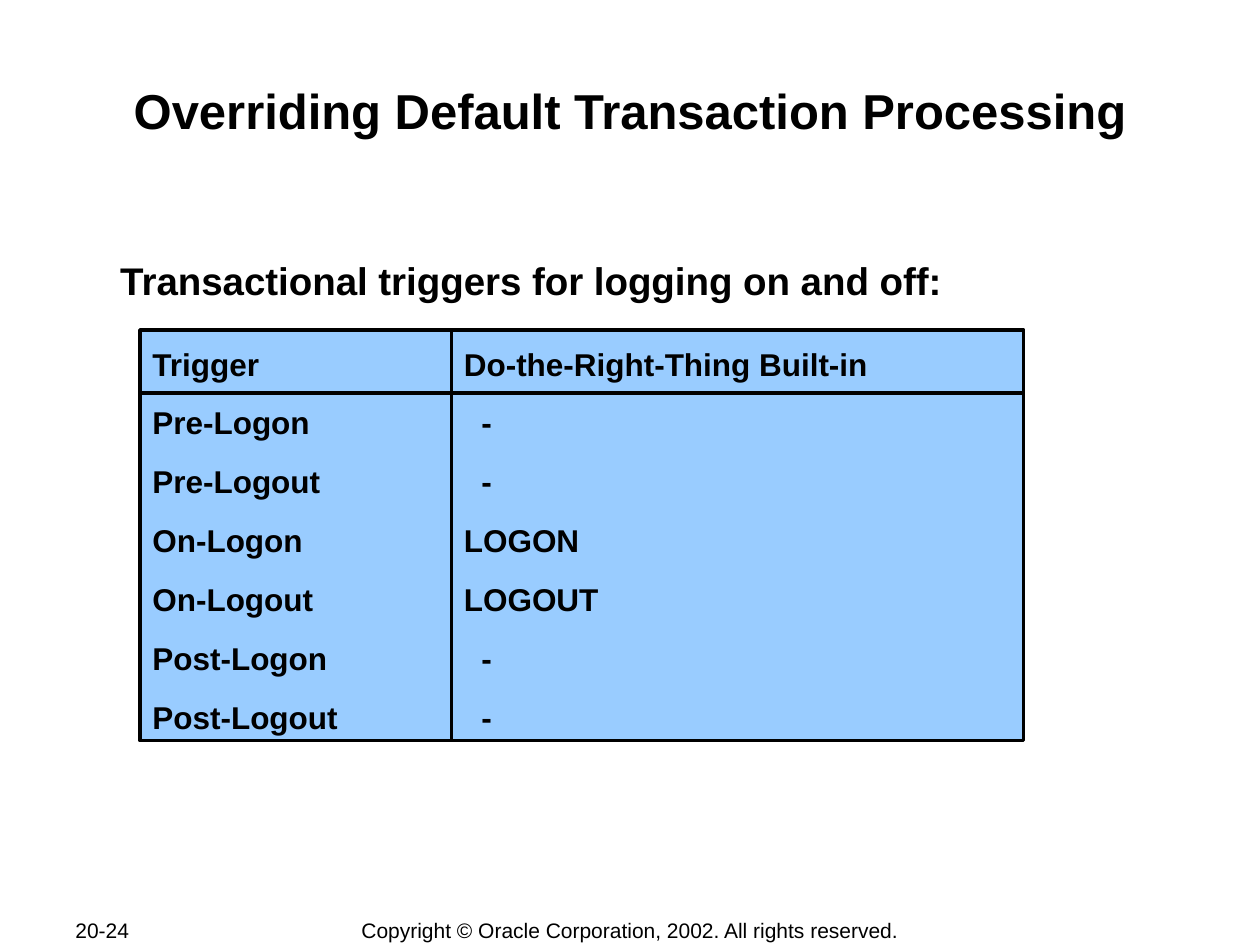
from pptx import Presentation
from pptx.dml.color import RGBColor
from pptx.enum.shapes import MSO_SHAPE
from pptx.enum.text import MSO_ANCHOR, PP_ALIGN
from pptx.util import Pt

RECT = MSO_SHAPE.RECTANGLE
TOP, MIDDLE = MSO_ANCHOR.TOP, MSO_ANCHOR.MIDDLE
LEFT, CENTER = PP_ALIGN.LEFT, PP_ALIGN.CENTER


def color(code):
    return RGBColor.from_string(code)


class Page:
    font = "Arial"
    ink = "000000"
    fill = "99CCFF"
    gap = 12.2
    dent = 10

    def __init__(self, slide):
        self.slide = slide

    def label(self, shape, lines, size, bold, align, anchor, pads, wrap):
        frame = shape.text_frame
        frame.text = "\n".join(lines)
        frame.word_wrap = wrap
        frame.vertical_anchor = anchor
        (frame.margin_left, frame.margin_top,
         frame.margin_right, frame.margin_bottom) = map(Pt, pads)
        for row, para in enumerate(frame.paragraphs):
            para.alignment = align
            if row:
                para.space_before = Pt(self.gap)
            if para.text == "-":
                para._p.get_or_add_pPr().set("marL", str(Pt(self.dent)))
            for run in para.runs:
                run.font.name = self.font
                run.font.size = Pt(size)
                run.font.bold = bold
                run.font.color.rgb = color(self.ink)

    def head(self, box, text, size, align, top):
        shape = self.slide.shapes.add_textbox(*map(Pt, box))
        self.label(shape, [text], size, True, align, TOP,
                   (0.72, top, 0.72, 0.72), True)

    def foot(self, box, text, align):
        shape = self.slide.shapes.add_textbox(*map(Pt, box))
        self.label(shape, [text], 12, False, align, MIDDLE,
                   (7.2, 3.6, 7.2, 3.6), False)

    def cell(self, box, lines):
        shape = self.slide.shapes.add_shape(RECT, *map(Pt, box))
        shape.shadow.inherit = False
        shape.fill.solid()
        shape.fill.fore_color.rgb = color(self.fill)
        shape.line.color.rgb = color(self.ink)
        shape.line.width = Pt(2)
        self.label(shape, lines, 18, True, LEFT, MIDDLE,
                   (7.2, 6.6, 7.2, 3.6), False)


def main():
    deck = Presentation()
    deck.slide_width, deck.slide_height = Pt(720), Pt(540)
    page = Page(deck.slides.add_slide(deck.slide_layouts[6]))

    # Footer
    page.foot((36, 524, 76, 14.6), "20-24", LEFT)
    page.foot((198.5, 524, 323, 15),
              "Copyright © Oracle Corporation, 2002. All rights reserved.",
              CENTER)

    # Title and lead line
    page.head((72, 42, 576, 69), "Overriding Default Transaction Processing",
              28, CENTER, 4.2)
    page.head((68, 143.5, 580, 146),
              "Transactional triggers for logging on and off:", 22, LEFT, 3.2)

    # Trigger grid: one header and one body box per column
    top, high, deep = 188.6, 36, 198.7
    cols = [
        (80, 181, "Trigger",
         ["Pre-Logon", "Pre-Logout", "On-Logon", "On-Logout",
          "Post-Logon", "Post-Logout"]),
        (258, 327, "Do-the-Right-Thing Built-in",
         ["-", "-", "LOGON", "LOGOUT", "-", "-"]),
    ]
    for left, wide, name, items in cols:
        page.cell((left, top + high, wide, deep), items)
        page.cell((left, top, wide, high), [name])

    deck.save("out.pptx")


if __name__ == "__main__":
    main()
